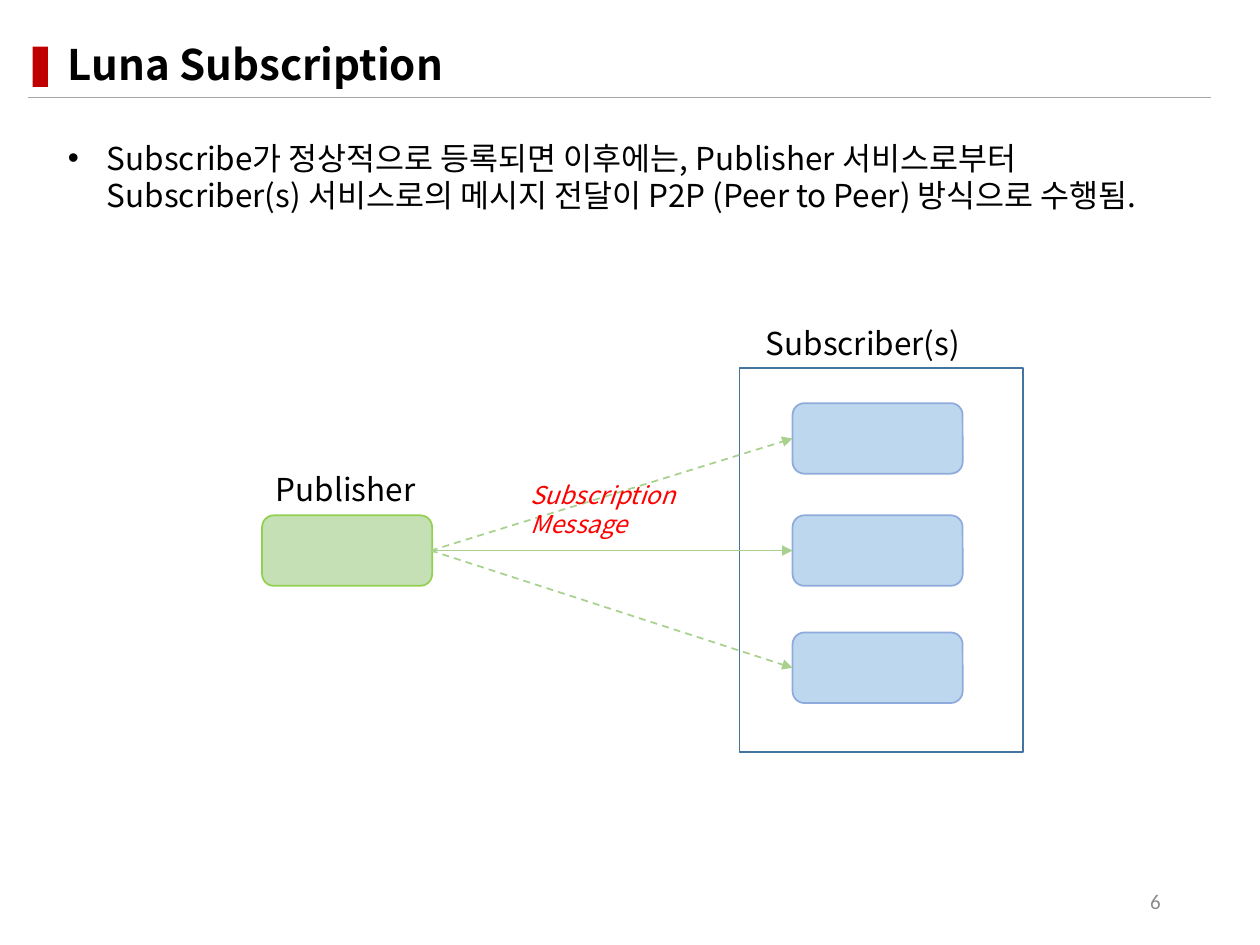
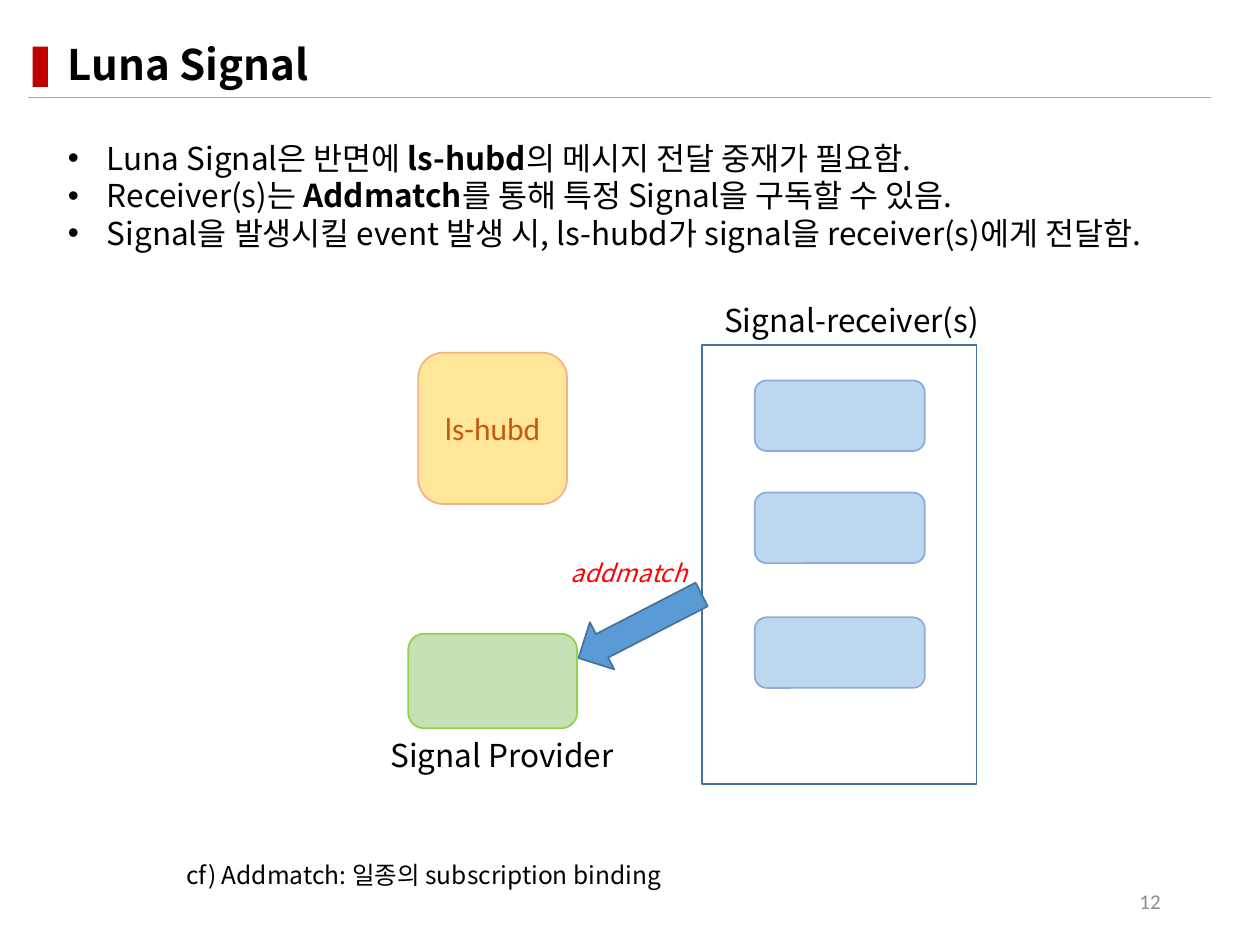
import pptx
import pptx.util
import pptx.dml.color
import pptx.enum.dml
import pptx.enum.shapes
import pptx.enum.text
import pptx.oxml
import pptx.oxml.ns

EMU_PER_PX = 9144
COLORS = {
    "black": "000000", "red": "FF0000", "band": "C00000", "rule": "A6A6A6", "number": "8C8C8C",
    "green": "C5E0B4", "green_line": "92D050", "message": "A9D18E",
    "blue": "BDD7EE", "blue_line": "8FAADC", "frame": "43739E", "arrow": "5B9BD5",
    "yellow": "FFE699", "yellow_line": "F4B183", "hub_text": "C55A11",
}
SANS, BODY = "Calibri", "Noto Sans CJK KR"
SHAPE = pptx.enum.shapes.MSO_SHAPE
ALIGN = pptx.enum.text.PP_ALIGN
MIDDLE = pptx.enum.text.MSO_ANCHOR.MIDDLE


def px(n):
    return pptx.util.Emu(round(n * EMU_PER_PX))


def rgb(name):
    return pptx.dml.color.RGBColor.from_string(COLORS[name])


def add_xml(parent, tag, **attrs):
    child = pptx.oxml.parse_xml(f"<a:{tag} {pptx.oxml.ns.nsdecls('a')}/>")
    for key, value in attrs.items():
        child.set(key, value)
    parent.append(child)


class Deck:
    """Holds the shared style and draws elements on the current slide."""

    def __init__(self):
        self.prs = pptx.Presentation()
        self.prs.slide_width, self.prs.slide_height = px(1000), px(750)
        self.s = None

    def slide(self, title, number, bullets):
        self.s = self.prs.slides.add_slide(self.prs.slide_layouts[6])
        self.shape(SHAPE.RECTANGLE, 26, 37, 12, 32, "band")
        self.line((22, 77), (961, 77), "rule", 0.5)
        tf = self.text(44, 33, 918, 40, ["", title], size=24, anchor=MIDDLE)
        tf.paragraphs[0].line_spacing = 0.9
        self.bullets(44, 105, 879, 101, bullets)
        self.text(706, 695, 225, 40, [number], 12, "number", SANS, align=ALIGN.RIGHT, anchor=MIDDLE)

    def runs(self, p, texts, size=18, color="black", font=BODY, italic=False):
        """Add the texts as runs, every second one bold."""
        for i, text in enumerate(texts):
            if not text:
                continue
            r = p.add_run()
            r.text = text
            r.font.size = pptx.util.Pt(size)
            r.font.bold = i % 2 == 1
            r.font.italic = italic
            r.font.color.rgb = rgb(color)
            r.font.name = font
            add_xml(r.font._element, "ea", typeface=font)

    def text(self, x, y, w, h, texts, size=18, color="black", font=BODY, italic=False,
             align=None, anchor=None):
        tf = self.s.shapes.add_textbox(px(x), px(y), px(w), px(h)).text_frame
        tf.word_wrap = True
        tf.vertical_anchor = anchor
        tf.paragraphs[0].alignment = align
        self.runs(tf.paragraphs[0], texts, size, color, font, italic)
        return tf

    def bullets(self, x, y, w, h, items):
        tf = self.text(x, y, w, h, [])
        for i, texts in enumerate(items):
            p = tf.add_paragraph() if i else tf.paragraphs[0]
            pPr = p._p.get_or_add_pPr()
            pPr.set("marL", str(px(31)))
            pPr.set("indent", str(px(-31)))
            add_xml(pPr, "buFont", typeface="Arial")
            add_xml(pPr, "buChar", char="•")
            self.runs(p, texts)

    def shape(self, kind, x, y, w, h, fill=None, line=None, rotation=0):
        sp = self.s.shapes.add_shape(kind, px(x), px(y), px(w), px(h))
        sp.shadow.inherit = False
        sp.rotation = rotation
        if fill:
            sp.fill.solid()
            sp.fill.fore_color.rgb = rgb(fill)
        else:
            sp.fill.background()
        if line:
            sp.line.color.rgb = rgb(line)
            sp.line.width = pptx.util.Pt(1)
        else:
            sp.line.fill.background()
        return sp

    def node(self, x, y, w, h, color, label=None):
        sp = self.shape(SHAPE.ROUNDED_RECTANGLE, x, y, w, h, color, color + "_line")
        if label:
            tf = sp.text_frame
            tf.vertical_anchor = MIDDLE
            tf.paragraphs[0].alignment = ALIGN.CENTER
            self.runs(tf.paragraphs[0], [label], color="hub_text", font=SANS)

    def receivers(self, x, tops):
        for y in tops:
            self.node(x, y, 135, 56, "blue")

    def frame(self, x, y, w, h):
        self.shape(SHAPE.RECTANGLE, x, y, w, h, line="frame")

    def note(self, x, y, w, h, text):
        self.text(x, y, w, h, [text], 14, "red", italic=True)

    def line(self, start, end, color, width=1, dash=False, arrow=False):
        c = self.s.shapes.add_connector(pptx.enum.shapes.MSO_CONNECTOR.STRAIGHT,
                                        *map(px, start + end))
        c.line.color.rgb = rgb(color)
        c.line.width = pptx.util.Pt(width)
        if dash:
            c.line.dash_style = pptx.enum.dml.MSO_LINE.DASH
        if arrow:
            add_xml(c.line._get_or_add_ln(), "tailEnd", type="triangle")
        add_xml(c._element.spPr, "effectLst")


def subscription(deck):
    deck.slide("Luna Subscription", "6", [
        ["Subscribe가 정상적으로 등록되면 이후에는, Publisher 서비스로부터 Subscriber(s) "
         "서비스로의 메시지 전달이 P2P (Peer to Peer) 방식으로 수행됨."],
    ])
    tops = (320, 409, 502)
    deck.node(208, 409, 135, 56, "green")
    deck.receivers(629, tops)
    deck.frame(587, 292, 225, 305)
    for y in tops:
        deck.line((342, 437), (629, y + 28), "message", dash=y != 409, arrow=True)
    deck.text(598, 252, 202, 40, ["Subscriber(s)"])
    deck.text(209, 368, 134, 40, ["Publisher"])
    deck.note(411, 376, 190, 57, "Subscription Message")


def signal(deck):
    deck.slide("Luna Signal", "12", [
        ["Luna Signal은 반면에 ", "ls-hubd", "의 메시지 전달 중재가 필요함."],
        ["Receiver(s)는 ", "Addmatch", "를 통해 특정 Signal을 구독할 수 있음."],
        ["Signal을 발생시킬 event 발생 시, ls-hubd가 signal을 receiver(s)에게 전달함."],
    ])
    deck.node(332, 280, 118, 120, "yellow", "ls-hubd")
    deck.receivers(599, (302, 391, 490))
    deck.frame(557, 274, 218, 348)
    deck.text(565, 234, 224, 40, ["Signal-receiver(s)"])
    deck.shape(SHAPE.RIGHT_ARROW, 453, 476, 110, 42, "arrow", "frame", rotation=152.7)
    deck.note(443, 438, 148, 34, "addmatch")
    deck.node(324, 503, 134, 75, "green")
    deck.text(300, 579, 203, 40, ["Signal Provider"])
    deck.text(138, 678, 437, 34, ["cf) Addmatch: 일종의 subscription binding"], 14)


def main():
    deck = Deck()
    subscription(deck)
    signal(deck)
    deck.prs.save("out.pptx")


if __name__ == "__main__":
    main()
